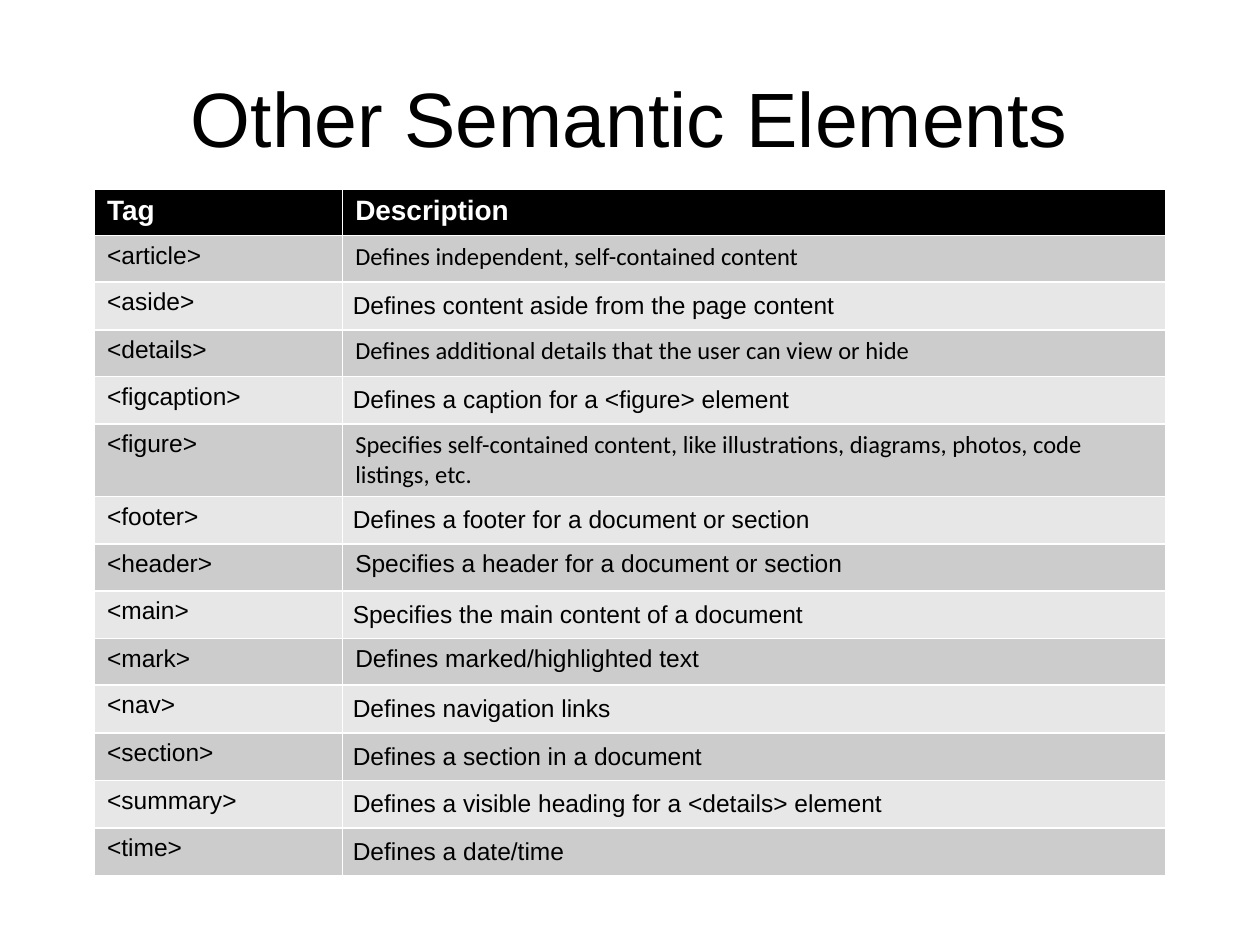
import pptx
import pptx.dml.color
import pptx.enum.text
import pptx.util

BLACK = pptx.dml.color.RGBColor(0x00, 0x00, 0x00)
WHITE = pptx.dml.color.RGBColor(0xFF, 0xFF, 0xFF)
DARK_BAND = pptx.dml.color.RGBColor(0xCC, 0xCC, 0xCC)
LIGHT_BAND = pptx.dml.color.RGBColor(0xE7, 0xE7, 0xE7)

SLIDE_WIDTH = pptx.util.Inches(10)
SLIDE_HEIGHT = pptx.util.Inches(7.5)
ROW_HEIGHT = pptx.util.Inches(0.37)
COLUMN_WIDTHS = (pptx.util.Inches(1.97), pptx.util.Inches(6.53))
PADDING = pptx.util.Inches(0.08)

HEADINGS = ("Tag", "Description")
ELEMENTS = [
    ("<article>", "Defines independent, self-contained content", "Calibri", False),
    ("<aside>", "Defines content aside from the page content", "Arial", True),
    ("<details>", "Defines additional details that the user can view or hide", "Calibri", False),
    ("<figcaption>", "Defines a caption for a <figure> element", "Arial", True),
    ("<figure>", "Specifies self-contained content, like illustrations, diagrams, "
                 "photos, code listings, etc.", "Calibri", False),
    ("<footer>", "Defines a footer for a document or section", "Arial", True),
    ("<header>", "Specifies a header for a document or section", "Arial", False),
    ("<main>", "Specifies the main content of a document", "Arial", True),
    ("<mark>", "Defines marked/highlighted text", "Arial", False),
    ("<nav>", "Defines navigation links", "Arial", True),
    ("<section>", "Defines a section in a document", "Arial", True),
    ("<summary>", "Defines a visible heading for a <details> element", "Arial", True),
    ("<time>", "Defines a date/time", "Arial", True),
]


def add_run(paragraph, wording, size, color, font="Arial", bold=False):
    """Append one formatted run to a paragraph."""
    run = paragraph.add_run()
    run.text = wording
    run.font.size = pptx.util.Pt(size)
    run.font.name = font
    run.font.bold = bold
    run.font.color.rgb = color


def fill_cell(cell, wording, band, size=14, color=BLACK, font="Arial", bold=False, padded=False):
    """Colour a cell, write its text and optionally pad it evenly."""
    cell.fill.solid()
    cell.fill.fore_color.rgb = band
    if padded:
        cell.margin_left = cell.margin_right = PADDING
        cell.margin_top = cell.margin_bottom = PADDING
    add_run(cell.text_frame.paragraphs[0], wording, size, color, font, bold)


def add_title(slide, wording):
    """Place the centred slide title."""
    title = slide.shapes.title
    title.left, title.top = int(SLIDE_WIDTH * 0.05), int(SLIDE_HEIGHT * 0.04)
    title.width, title.height = int(SLIDE_WIDTH * 0.9), pptx.util.Inches(1.25)
    title.text_frame.vertical_anchor = pptx.enum.text.MSO_ANCHOR.MIDDLE
    heading = title.text_frame.paragraphs[0]
    heading.alignment = pptx.enum.text.PP_ALIGN.CENTER
    add_run(heading, wording, 44, BLACK)


def add_element_table(slide):
    """Build the table of tags and descriptions with alternating bands."""
    row_count = len(ELEMENTS) + 1
    table = slide.shapes.add_table(
        row_count, len(HEADINGS), int(SLIDE_WIDTH * 0.075), int(SLIDE_HEIGHT * 0.2),
        sum(COLUMN_WIDTHS), ROW_HEIGHT * row_count).table
    for column, width in zip(table.columns, COLUMN_WIDTHS):
        column.width = width
    for column, heading in enumerate(HEADINGS):
        fill_cell(table.cell(0, column), heading, BLACK, 16, WHITE, bold=True)
    for row, (tag, description, font, padded) in enumerate(ELEMENTS, start=1):
        band = DARK_BAND if row % 2 else LIGHT_BAND
        fill_cell(table.cell(row, 0), tag, band)
        fill_cell(table.cell(row, 1), description, band, font=font, padded=padded)


def main():
    """Create the slide and save the presentation."""
    presentation = pptx.Presentation()
    presentation.slide_width, presentation.slide_height = SLIDE_WIDTH, SLIDE_HEIGHT
    slide = presentation.slides.add_slide(presentation.slide_layouts.get_by_name("Title Only"))
    add_title(slide, "Other Semantic Elements")
    add_element_table(slide)
    presentation.save("out.pptx")


if __name__ == "__main__":
    main()
